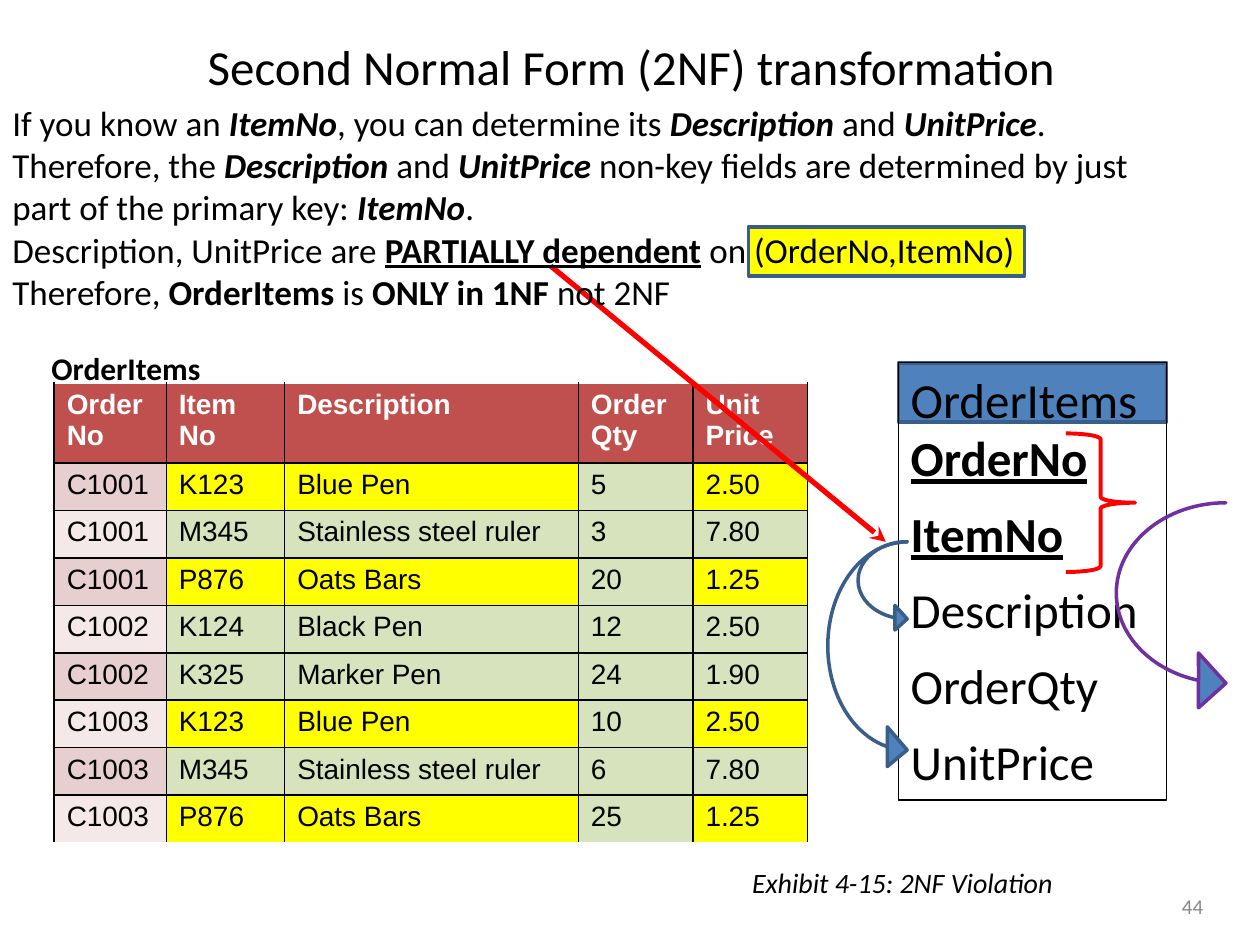
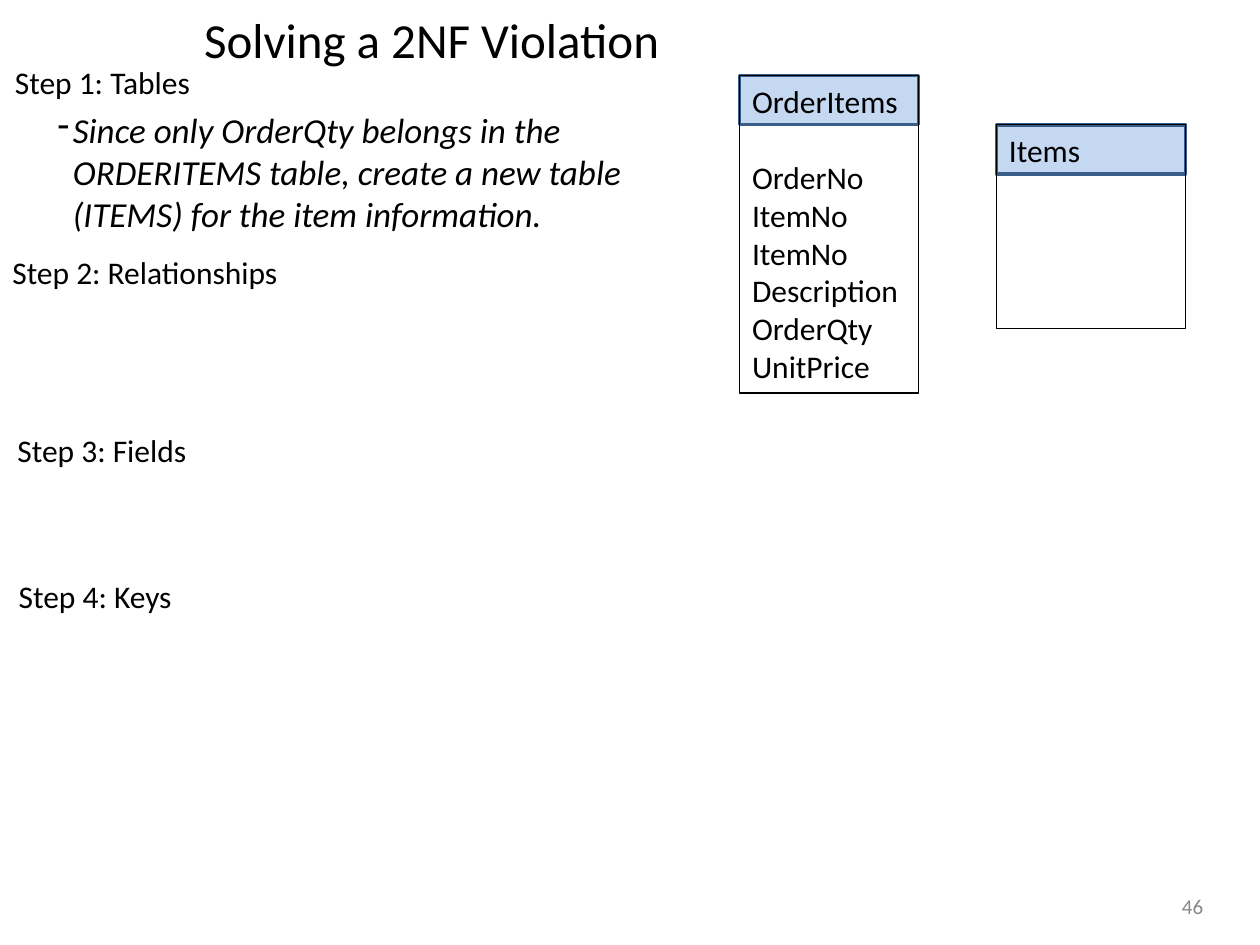
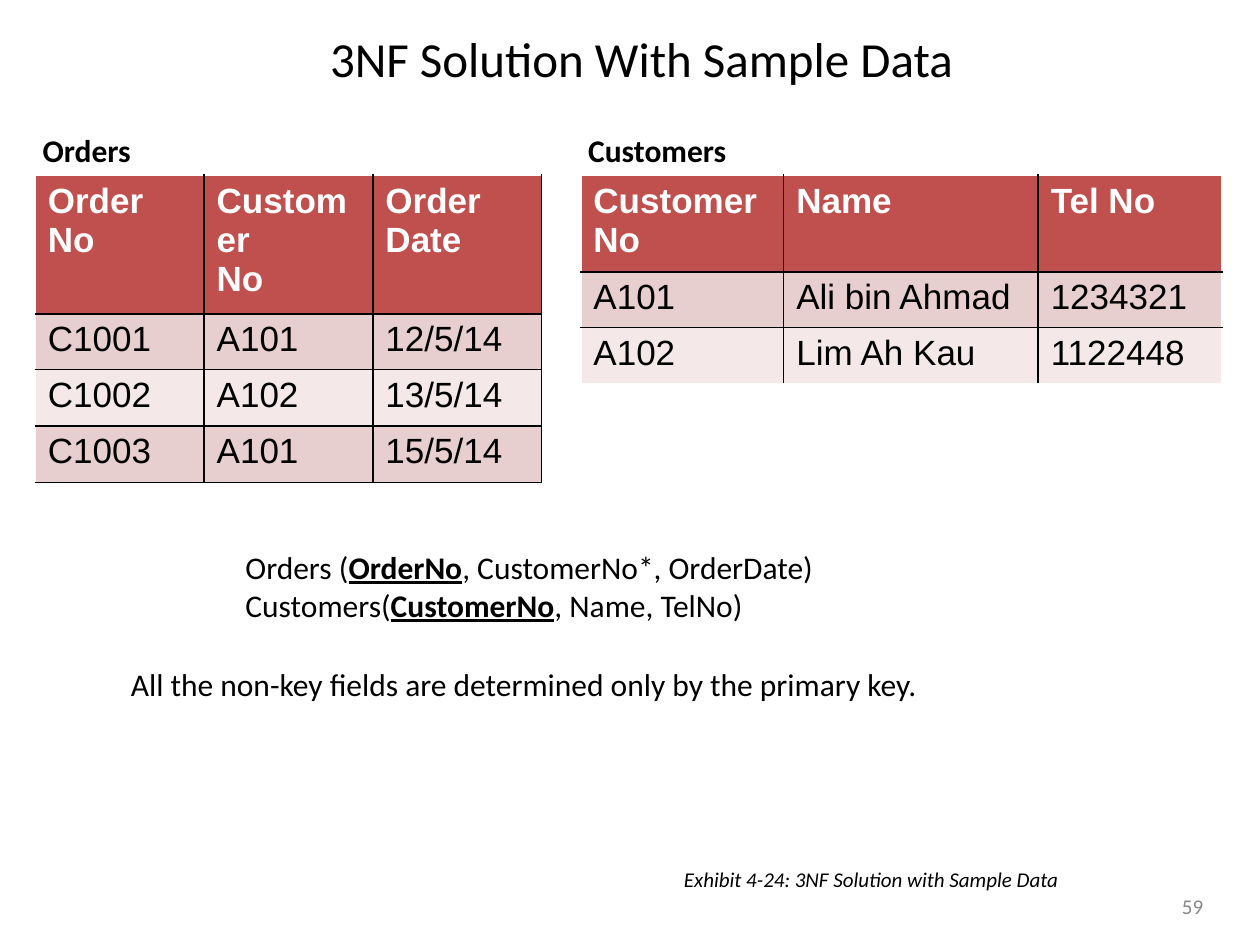
from dataclasses import dataclass

from lxml.etree import SubElement
from pptx import Presentation
from pptx.dml.color import RGBColor
from pptx.enum.shapes import MSO_CONNECTOR, MSO_SHAPE
from pptx.enum.text import MSO_ANCHOR, PP_ALIGN
from pptx.oxml.ns import qn
from pptx.util import Inches, Pt

SLIDE_WIDTH, SLIDE_HEIGHT = Inches(10), Inches(7.5)
COLUMNS, ROWS = 100, 75


@dataclass(frozen=True)
class Theme:
    text_font: str = "Calibri"
    table_font: str = "Arial"
    ink: str = "000000"
    paper: str = "FFFFFF"
    muted: str = "888888"
    blue: str = "4F81BD"
    pale_blue: str = "C5D8F1"
    outline: str = "395E89"
    red: str = "FF0000"
    purple: str = "7030A0"
    yellow: str = "FFFF00"
    green: str = "D6E3BC"
    header: str = "C0504D"
    bands: tuple = ("E8CFCF", "F4E8E8")
    title_size: float = 28
    body_size: float = 20
    label_size: float = 18
    cell_size: float = 16
    small_size: float = 12


THEME = Theme()


@dataclass(frozen=True)
class Box:
    """A region measured in grid columns and rows of the slide."""
    left: float
    top: float
    width: float
    height: float

    def area(self, left, top, width, height):
        return Box(self.left + left, self.top + top, width, height)

    def emu(self):
        return (across(self.left), down(self.top),
                across(self.width), down(self.height))


PAGE = Box(0, 0, COLUMNS, ROWS)


def across(columns):
    return round(SLIDE_WIDTH * columns / COLUMNS)


def down(rows):
    return round(SLIDE_HEIGHT * rows / ROWS)


def rgb(color):
    return RGBColor.from_string(color)


# Text: a line is a string or a list of runs; a run is a string or (text, "biu" flags)
def write(frame, lines, *, size=THEME.label_size, color=THEME.ink,
          font=THEME.text_font, style="", align=PP_ALIGN.LEFT,
          anchor=MSO_ANCHOR.TOP, gaps=None, bullet=None):
    frame.word_wrap = True
    frame.vertical_anchor = anchor
    for index, line in enumerate([lines] if isinstance(lines, str) else lines):
        paragraph = frame.paragraphs[0] if index == 0 else frame.add_paragraph()
        paragraph.alignment = align
        if gaps and index in gaps:
            paragraph.space_before = Pt(gaps[index])
        if bullet:
            properties = paragraph._p.get_or_add_pPr()
            properties.set("marL", str(Inches(0.12)))
            properties.set("indent", str(Inches(-0.14)))
            SubElement(properties, qn("a:buChar")).set("char", bullet)
        for piece in [line] if isinstance(line, str) else line:
            words, flags = (piece, style) if isinstance(piece, str) else piece
            run = paragraph.add_run()
            run.text = words
            run.font.name, run.font.size = font, Pt(size)
            run.font.color.rgb = rgb(color)
            run.font.bold = "b" in flags
            run.font.italic = "i" in flags
            run.font.underline = "u" in flags


def text(slide, box, lines, **style):
    write(slide.shapes.add_textbox(*box.emu()).text_frame, lines, **style)


def outline_shape(slide, kind, box, *, fill=None, line=THEME.outline,
                  weight=2, adjust=()):
    shape = slide.shapes.add_shape(kind, *box.emu())
    shape.shadow.inherit = False
    if fill:
        shape.fill.solid()
        shape.fill.fore_color.rgb = rgb(fill)
    else:
        shape.fill.background()
    shape.line.color.rgb = rgb(line)
    shape.line.width = Pt(weight)
    for index, value in enumerate(adjust):
        shape.adjustments[index] = value
    return shape


def start_slide(deck, title, title_box, number):
    slide = deck.slides.add_slide(deck.slide_layouts[6])
    text(slide, title_box, title, size=THEME.title_size,
         align=PP_ALIGN.CENTER, anchor=MSO_ANCHOR.MIDDLE)
    text(slide, PAGE.area(91.7, 70.3, 5.9, 3.2), str(number),
         size=THEME.small_size, color=THEME.muted,
         align=PP_ALIGN.CENTER, anchor=MSO_ANCHOR.MIDDLE)
    return slide


def entity(slide, box, fields, *, band_height=3.9, band=THEME.pale_blue, **style):
    outline_shape(slide, MSO_SHAPE.RECTANGLE,
                  box.area(0, 0, box.width, band_height), fill=band)
    frame = outline_shape(slide, MSO_SHAPE.RECTANGLE, box, line=THEME.ink, weight=0.75)
    write(frame.text_frame, fields, **style)


def band_fill(row, column, record):
    return THEME.bands[(row - 1) % 2]


def border(cell, side, color):
    edge = SubElement(cell._tc.get_or_add_tcPr(), qn(f"a:ln{side}"), w=str(Pt(1)))
    SubElement(SubElement(edge, qn("a:solidFill")), qn("a:srgbClr")).set("val", color)


def data_table(slide, left, top, widths, heights, records, *,
               size, open_sides, fill_rule=band_fill):
    """Open sides have a white outer edge; all other borders are black."""
    box = PAGE.area(left, top, sum(widths), sum(heights))
    table = slide.shapes.add_table(len(heights), len(widths), *box.emu()).table
    table.first_row = table.horz_banding = False
    for column, width in zip(table.columns, widths):
        column.width = across(width)
    for row, height in zip(table.rows, heights):
        row.height = down(height)
    last_row, last_column = len(heights) - 1, len(widths) - 1
    for r, record in enumerate(records):
        for c, value in enumerate(record):
            cell = table.cell(r, c)
            outer = {"L": c == 0, "R": c == last_column,
                     "T": r == 0, "B": r == last_row}
            for side, on_edge in outer.items():
                is_open = on_edge and side in open_sides
                border(cell, side, THEME.paper if is_open else THEME.ink)
            cell.fill.solid()
            cell.fill.fore_color.rgb = rgb(fill_rule(r, c, record) if r else THEME.header)
            write(cell.text_frame, value, size=size, font=THEME.table_font,
                  color=THEME.ink if r else THEME.paper, style="" if r else "b")


# Slide 1: partial dependency
ORDER_ITEMS = [
    ["Order No", "Item No", "Description", ["Order", "Qty"], ["Unit", "Price"]],
    ["C1001", "K123", "Blue Pen", "5", "2.50"],
    ["C1001", "M345", "Stainless steel ruler", "3", "7.80"],
    ["C1001", "P876", "Oats Bars", "20", "1.25"],
    ["C1002", "K124", "Black Pen", "12", "2.50"],
    ["C1002", "K325", "Marker Pen", "24", "1.90"],
    ["C1003", "K123", "Blue Pen", "10", "2.50"],
    ["C1003", "M345", "Stainless steel ruler", "6", "7.80"],
    ["C1003", "P876", "Oats Bars", "25", "1.25"],
]
REPEATED_ITEMS = {"K123", "P876"}
ITEM_COLUMNS = {1, 2, 4}


def order_item_fill(row, column, record):
    if column == 0:
        return band_fill(row, column, record)
    repeated = record[1] in REPEATED_ITEMS and column in ITEM_COLUMNS
    return THEME.yellow if repeated else THEME.green


def dependency_diagram(slide, box):
    entity(slide, box,
           ["OrderItems", [("OrderNo", "bu")], [("ItemNo", "bu")],
            "Description", "OrderQty", "UnitPrice"],
           band_height=4.7, band=THEME.blue, size=THEME.title_size,
           gaps=dict.fromkeys(range(2, 6), 9.75))

    def dependency(arrow_box, color):
        outline_shape(slide, MSO_SHAPE.CURVED_RIGHT_ARROW, arrow_box,
                      fill=THEME.blue, line=color, adjust=(0, 0.5, 0.25))

    dependency(box.area(-3.2, 14.2, 3.9, 7.1), THEME.outline)
    dependency(box.area(-5.6, 14.2, 6.3, 18.1), THEME.outline)
    outline_shape(slide, MSO_SHAPE.RIGHT_BRACE, box.area(13.3, 5.6, 5.5, 11),
                  line=THEME.red, weight=2.25, adjust=(0.083, 0.5))
    dependency(box.area(17.3, 11.1, 8.7, 16.5), THEME.purple)


def pointer(slide, start, end):
    arrow = slide.shapes.add_connector(
        MSO_CONNECTOR.STRAIGHT, across(start[0]), down(start[1]),
        across(end[0]), down(end[1]))
    arrow.line.color.rgb = rgb(THEME.red)
    arrow.line.width = Pt(3)
    SubElement(arrow.line._get_or_add_ln(), qn("a:tailEnd")).set("type", "stealth")
    SubElement(arrow._element.spPr, qn("a:effectLst"))


def violation_slide(deck):
    slide = start_slide(deck, "Second Normal Form (2NF) transformation",
                        PAGE.area(5.1, 2.1, 90, 6.3), 44)
    # Key highlight sits behind the explanation
    outline_shape(slide, MSO_SHAPE.RECTANGLE, PAGE.area(59.4, 18, 21.9, 3.9),
                  fill=THEME.yellow)
    text(slide, PAGE.area(58.7, 68.2, 26.8, 3.7), "Exhibit 4-15: 2NF Violation",
         size=THEME.cell_size, style="i")
    dependency_diagram(slide, PAGE.area(71.3, 28.8, 21.3, 34.7))
    data_table(slide, 4.3, 30.4, [8.9, 9.4, 23.3, 9.1, 9.1], [6.3] + [3.77] * 8,
               ORDER_ITEMS, size=THEME.cell_size, open_sides="TB",
               fill_rule=order_item_fill)
    text(slide, PAGE.area(3.1, 27.2, 14.1, 4), "OrderItems", style="b")
    pointer(slide, (43.7, 21.1), (70.3, 43))
    item, description, price = (
        (name, "bi") for name in ("ItemNo", "Description", "UnitPrice"))
    text(slide, PAGE.area(0, 7.6, 95.3, 17.8), [
        ["If you know an ", item, ", you can determine its ",
         description, " and ", price, "."],
        ["Therefore, the ", description, " and ", price,
         " non-key fields are determined by just part of the primary key: ",
         item, "."],
        ["Description, UnitPrice are ", ("PARTIALLY dependent", "bu"),
         " on (OrderNo,ItemNo)"],
        ["Therefore, ", ("OrderItems", "b"), " is ", ("ONLY in 1NF", "b"), " not 2NF"],
    ], size=THEME.body_size)


# Slide 2: steps to solve the violation
STEPS = [
    ("Step 1: Tables", 0.2, 4.5),
    ("Step 2: Relationships", 0, 19.6),
    ("Step 3: Fields", 0.4, 33.7),
    ("Step 4: Keys", 0.5, 45.3),
]


def solving_slide(deck):
    slide = start_slide(deck, "Solving a 2NF Violation",
                        PAGE.area(5.1, 0.2, 58.3, 5.8), 46)
    for step, left, top in STEPS:
        text(slide, PAGE.area(left, top, 25.6, 4), step)
    text(slide, PAGE.area(3.6, 8.1, 47.2, 11.1),
         ["Since only OrderQty belongs in the ORDERITEMS table, "
          "create a new table (ITEMS) for the item information."],
         size=THEME.body_size, style="i", bullet="-")
    entity(slide, PAGE.area(58.7, 6, 14.2, 25.2),
           ["OrderItems", "OrderNo", "ItemNo", "ItemNo",
            "Description", "OrderQty", "UnitPrice"], gaps={1: 22})
    entity(slide, PAGE.area(79.1, 9.9, 15, 16.2), "Items")


# Slide 3: solution tables
ORDERS = [
    ["Order No", ["Customer", "No"], "Order Date"],
    ["C1001", "A101", "12/5/14"],
    ["C1002", "A102", "13/5/14"],
    ["C1003", "A101", "15/5/14"],
]
CUSTOMERS = [
    [["Customer", "No"], "Name", "Tel No"],
    ["A101", "Ali bin Ahmad", "1234321"],
    ["A102", "Lim Ah Kau", "1122448"],
]


def solution_slide(deck):
    slide = start_slide(deck, "3NF Solution With Sample Data",
                        PAGE.area(5.9, 1.3, 90, 6.6), 59)
    text(slide, PAGE.area(53.3, 68.3, 34.8, 3),
         "Exhibit 4-24: 3NF Solution with Sample Data",
         size=THEME.small_size, style="i")
    text(slide, PAGE.area(9.4, 52.3, 76.8, 4),
         "All the non-key fields are determined only by the primary key.")
    data_table(slide, 2.8, 13.9, [13.4] * 3, [10.9, 4.4, 4.5, 4.5], ORDERS,
               size=THEME.body_size, open_sides="LT")
    data_table(slide, 46.1, 13.9, [16.1, 20.2, 14.6], [7.6, 4.4, 4.5], CUSTOMERS,
               size=THEME.body_size, open_sides="LRTB")
    text(slide, PAGE.area(2.4, 9.9, 9.3, 4), "Orders", style="b")
    text(slide, PAGE.area(45.7, 9.9, 13.3, 4), "Customers", style="b")
    text(slide, PAGE.area(18.5, 43, 48, 7.1), [
        ["Orders (", ("OrderNo", "bu"), ", CustomerNo*, OrderDate)"],
        ["Customers(", ("CustomerNo", "bu"), ", Name, TelNo)"],
    ])


def main():
    deck = Presentation()
    deck.slide_width, deck.slide_height = SLIDE_WIDTH, SLIDE_HEIGHT
    violation_slide(deck)
    solving_slide(deck)
    solution_slide(deck)
    deck.save("out.pptx")


if __name__ == "__main__":
    main()
